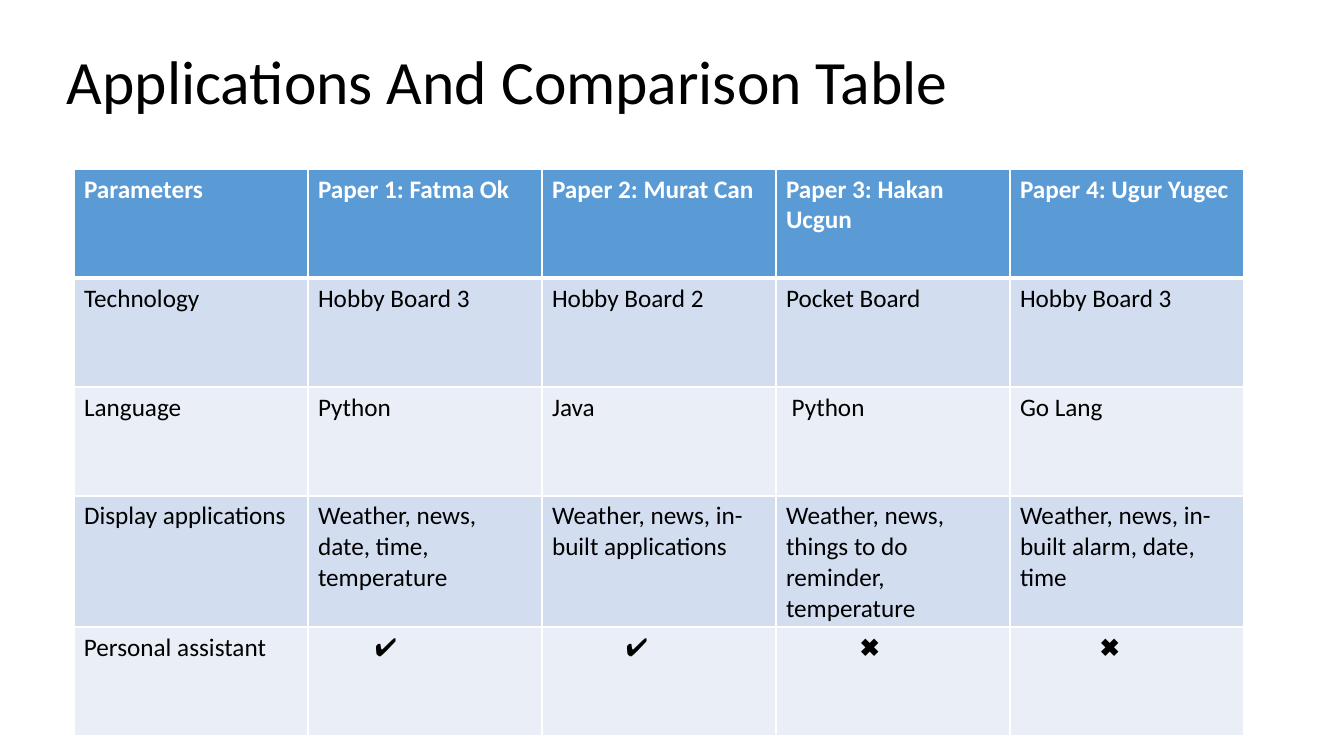
import pptx
import pptx.util
import pptx.dml.color
import pptx.enum.text
import pptx.oxml.ns
import lxml.etree

PX = 914400 / 100.8
COLORS = {"header": "5B9BD5", "odd": "D2DEEF", "even": "EAEFF7",
          "white": "FFFFFF", "black": "000000"}


def px(n):
    return pptx.util.Emu(round(n * PX))


def write(tf, text, size=18, color="black", bold=False, spacing=1.0):
    tf.word_wrap = True
    p = tf.paragraphs[0]
    p.line_spacing = spacing
    r = p.add_run()
    r.text = text
    r.font.name = "Calibri"
    r.font.size = pptx.util.Pt(size)
    r.font.bold = bold
    r.font.color.rgb = pptx.dml.color.RGBColor.from_string(COLORS[color])


prs = pptx.Presentation()
prs.slide_width = px(1344)
prs.slide_height = px(756)
s = prs.slides.add_slide(prs.slide_layouts[6])

# Title
sp = s.shapes.add_textbox(px(57), px(12), px(1159), px(146))
sp.text_frame.vertical_anchor = pptx.enum.text.MSO_ANCHOR.MIDDLE
write(sp.text_frame, "Applications And Comparison Table", size=44, spacing=0.9)

# Comparison table
ROWS = [
    ["Parameters", "Paper 1: Fatma Ok", "Paper 2: Murat Can",
     "Paper 3: Hakan Ucgun", "Paper 4: Ugur Yugec"],
    ["Technology", "Hobby Board 3", "Hobby Board 2", "Pocket Board", "Hobby Board 3"],
    ["Language", "Python", "Java", " Python", "Go Lang"],
    ["Display applications", "Weather, news, date, time, temperature",
     "Weather, news, in-built applications",
     "Weather, news, things to do reminder, temperature",
     "Weather, news, in-built alarm, date, time"],
    ["Personal assistant", "✔", "✔", "✖", "✖"],
]
MARK_INDENTS = [10, 67, 84, 84, 90]
COL_W, ROW_H = 234, 109

n_rows, n_cols = len(ROWS), len(ROWS[0])
table = s.shapes.add_table(n_rows, n_cols, px(74), px(169),
                           px(COL_W * n_cols), px(ROW_H * n_rows)).table
for col in table.columns:
    col.width = px(COL_W)

for i, texts in enumerate(ROWS):
    table.rows[i].height = px(ROW_H)
    header = i == 0
    fill = "header" if header else "odd" if i % 2 else "even"
    for j, text in enumerate(texts):
        cell = table.cell(i, j)
        write(cell.text_frame, text, color="white" if header else "black", bold=header)
        if i == n_rows - 1:
            cell.margin_left = px(MARK_INDENTS[j])

        # White borders, thicker around the header's lower edge
        tcPr = cell._tc.get_or_add_tcPr()
        for side in "LRTB":
            thick = (i, side) in ((0, "B"), (1, "T"))
            ln = lxml.etree.SubElement(tcPr, pptx.oxml.ns.qn("a:ln" + side),
                                       w=str(pptx.util.Pt(3 if thick else 1)))
            solid = lxml.etree.SubElement(ln, pptx.oxml.ns.qn("a:solidFill"))
            lxml.etree.SubElement(solid, pptx.oxml.ns.qn("a:srgbClr"), val=COLORS["white"])

        cell.fill.solid()
        cell.fill.fore_color.rgb = pptx.dml.color.RGBColor.from_string(COLORS[fill])

prs.save("out.pptx")
